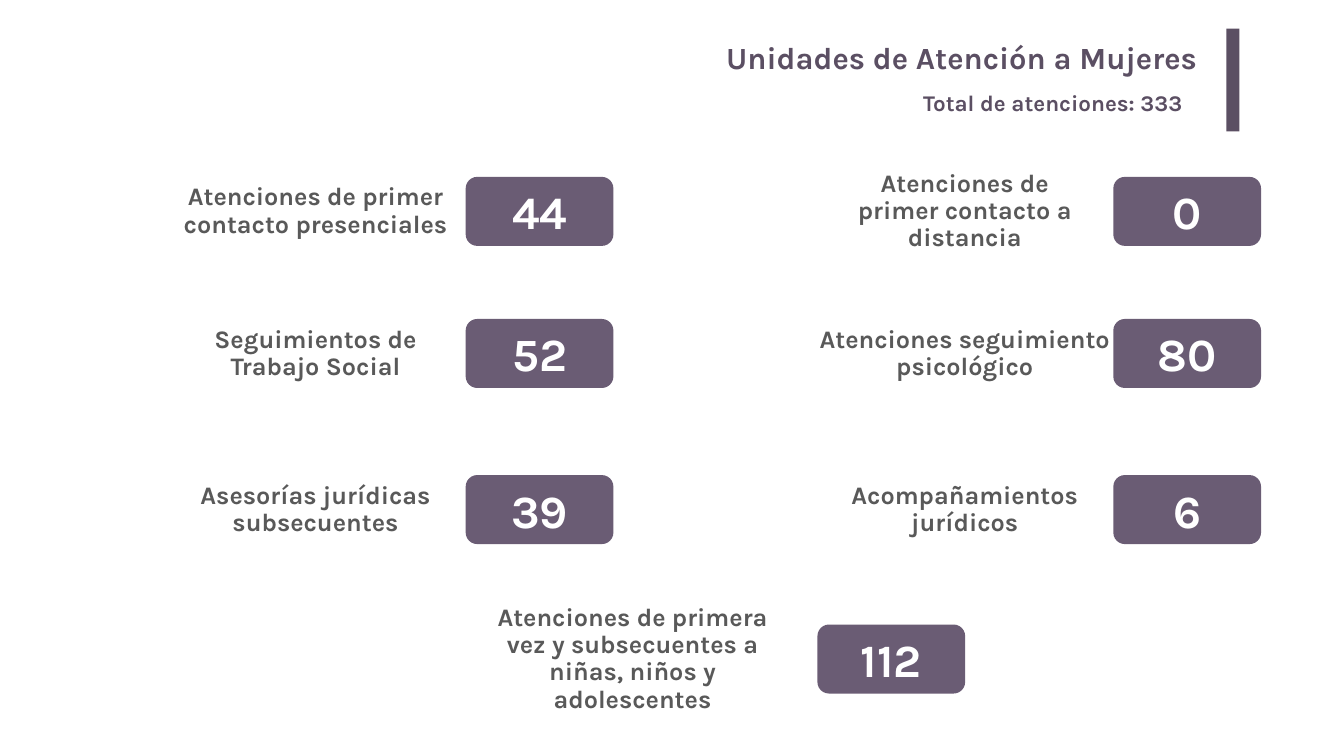
from pptx import Presentation
from pptx.dml.color import RGBColor
from pptx.enum.shapes import MSO_SHAPE as Shape
from pptx.enum.text import MSO_ANCHOR as Anchor, PP_ALIGN as Align
from pptx.util import Pt

# Content
TITLE = "Unidades de Atención a Mujeres"
TOTAL = "Total de atenciones: 333"
# label, label width, value, column, row
INDICATORS = [
    ("Atenciones de primer contacto presenciales", 395, "44", "left", 0),
    ("Atenciones de primer contacto a distancia", 372, "0", "right", 0),
    ("Seguimientos de Trabajo Social", 402, "52", "left", 1),
    ("Atenciones seguimiento psicológico", 562, "80", "right", 1),
    ("Asesorías jurídicas subsecuentes", 436, "39", "left", 2),
    ("Acompañamientos jurídicos", 465, "6", "right", 2),
    ("Atenciones de primera vez y subsecuentes a niñas, niños y adolescentes",
     432, "112", "middle", 3),
]

# Layout in points: centres of label and badge by column, centres of rows
COLUMNS = {"left": (450.7, 770.8), "right": (1378.2, 1696), "middle": (903.6, 1273.3)}
ROWS = [302, 505, 728, 941.5]
BADGE_WIDTH, BADGE_HEIGHT = 211, 98.6
COLORS = {"heading": "5B4F63", "badge": "6A5C74", "label": "595959", "value": "FFFFFF"}
FONT = "Karla"


def write(shape, text, size, color, align, anchor=Anchor.TOP, line_spacing=None, inset=(7.2, 3.6)):
    frame = shape.text_frame
    frame.word_wrap = True
    frame.vertical_anchor = anchor
    frame.margin_left = frame.margin_right = Pt(inset[0])
    frame.margin_top = frame.margin_bottom = Pt(inset[1])
    paragraph = frame.paragraphs[0]
    paragraph.alignment = align
    if line_spacing:
        paragraph.line_spacing = line_spacing
    run = paragraph.add_run()
    run.text = text
    run.font.name = FONT
    run.font.size = Pt(size)
    run.font.bold = True
    run.font.color.rgb = RGBColor.from_string(COLORS[color])


def add_text_box(slide, left, top, width, height):
    return slide.shapes.add_textbox(Pt(left), Pt(top), Pt(width), Pt(height))


def add_block(slide, kind, left, top, width, height, color):
    shape = slide.shapes.add_shape(kind, Pt(left), Pt(top), Pt(width), Pt(height))
    shape.shadow.inherit = False
    shape.fill.solid()
    shape.fill.fore_color.rgb = RGBColor.from_string(COLORS[color])
    shape.line.fill.background()
    return shape


def add_indicator(slide, label, label_width, value, column, row):
    label_center, badge_center = COLUMNS[column]
    top = ROWS[row] - BADGE_HEIGHT / 2
    label_box = add_text_box(slide, label_center - label_width / 2, top,
                             label_width, BADGE_HEIGHT)
    write(label_box, label, 36, "label", Align.CENTER, Anchor.MIDDLE, 0.9)
    badge = add_block(slide, Shape.ROUNDED_RECTANGLE, badge_center - BADGE_WIDTH / 2, top,
                      BADGE_WIDTH, BADGE_HEIGHT, "badge")
    badge.adjustments[0] = 0.167
    write(badge, value, 66, "value", Align.CENTER, Anchor.MIDDLE)


def main():
    presentation = Presentation()
    presentation.slide_width, presentation.slide_height = Pt(1920), Pt(1080)
    slide = presentation.slides.add_slide(presentation.slide_layouts[6])

    # Heading with its accent bar
    write(add_text_box(slide, 263.5, 48.2, 1461.6, 73.4), TITLE, 44, "heading",
          Align.RIGHT, inset=(14.4, 7.2))
    add_block(slide, Shape.RECTANGLE, 1751.8, 41, 18.7, 146.9, "heading")
    write(add_text_box(slide, 1311.8, 123.1, 426.2, 46.1), TOTAL, 32, "heading", Align.LEFT)

    # Labels and value badges
    for indicator in INDICATORS:
        add_indicator(slide, *indicator)

    presentation.save("out.pptx")


if __name__ == "__main__":
    main()
